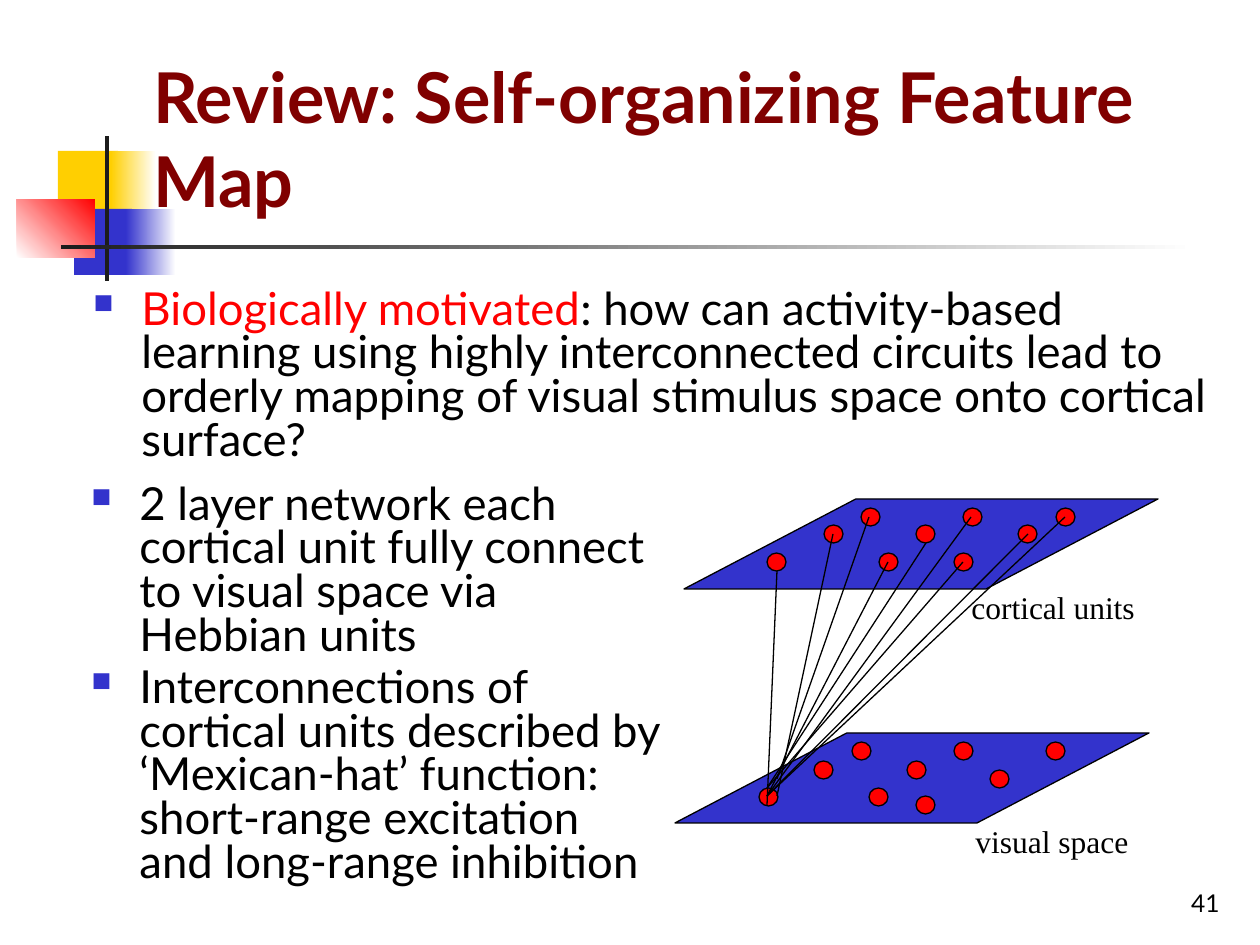
from pptx import Presentation
from pptx.dml.color import RGBColor as RGB
from pptx.enum.shapes import MSO_CONNECTOR as CON, MSO_SHAPE as SHP
from pptx.enum.text import MSO_ANCHOR as ANC, PP_ALIGN as AL
from pptx.oxml import parse_xml
from pptx.util import Emu, Pt

PX = 914400 / 126
NS = 'xmlns:a="http://schemas.openxmlformats.org/drawingml/2006/main"'
HUE = {"gold": "FFCF01", "blue": "3333CC", "red": "FF0000", "dark": "1C1C1C",
       "maroon": "800000", "black": "000000", "white": "FFFFFF"}
RGBS = {name: RGB.from_string(val) for name, val in HUE.items()}

prs = Presentation()
prs.slide_width, prs.slide_height = Emu(9144000), Emu(6858000)
slide = prs.slides.add_slide(prs.slide_layouts[6])
shapes = slide.shapes


def add_shape(kind, box, fill, edge=None):
    shp = shapes.add_shape(kind, *[Emu(round(v * PX)) for v in box])
    shp.shadow.inherit = False
    shp.fill.solid()
    shp.fill.fore_color.rgb = RGBS[fill]
    if edge:
        shp.line.color.rgb = RGBS[edge]
        shp.line.width = Pt(0.75)
    else:
        shp.line.fill.background()
    return shp


def add_text(box, paras, size, font="Lato", wrap=True, bullet=False):
    frame = shapes.add_textbox(*[Emu(round(v * PX)) for v in box]).text_frame
    frame.word_wrap = wrap
    for i, runs in enumerate(paras):
        para = frame.paragraphs[0] if i == 0 else frame.add_paragraph()
        if bullet:
            props = para._p.get_or_add_pPr()
            props.set("marL", str(round(48 * PX)))
            props.set("indent", str(round(-48 * PX)))
            for xml in (f'<a:buClr {NS}><a:srgbClr val="{HUE["blue"]}"/></a:buClr>',
                        f'<a:buSzPct {NS} val="60000"/>',
                        f'<a:buChar {NS} char="■"/>'):
                props.append(parse_xml(xml))
            para.line_spacing = 0.8
            if i:
                para.space_before = Pt(5)
        for text, color in runs:
            run = para.add_run()
            run.text = text
            run.font.size = Pt(size)
            run.font.name = font
            run.font.color.rgb = RGBS[color]
    return frame


# Corner squares and rules: box, colour, gradient stops, angle
decor = [
    ((58, 151, 60, 66), "gold", None, 0),
    ((111, 151, 45, 66), "gold", ("gold", "white"), 0),
    ((74, 209, 58, 66), "blue", None, 0),
    ((126, 209, 50, 66), "blue", ("blue", "white"), 0),
    ((17, 199, 78, 59), "red", ("white", "red"), 45),
    ((105, 136, 4, 145), "dark", None, 0),
    ((61, 245, 1134, 4), "dark", ("dark", "white"), 0),
]
for box, color, stops, angle in decor:
    part = add_shape(SHP.RECTANGLE, box, color)
    if stops:
        part.fill.gradient()
        part.fill.gradient_angle = angle
        for stop, name in zip(part.fill.gradient_stops, stops):
            stop.color.rgb = RGBS[name]

# Title and page number
title = add_text((141, 26, 1074, 202),
                 [[("Review: Self-organizing Feature Map", "maroon")]], 40)
title.vertical_anchor = ANC.BOTTOM
title.paragraphs[0].runs[0].font.bold = True
page = add_text((970, 861, 262, 63), [[("41", "black")]], 14)
page.vertical_anchor = ANC.BOTTOM
page.paragraphs[0].alignment = AL.RIGHT

# Bullets
add_text((81, 284, 1160, 208), [[
    ("Biologically motivated", "red"),
    (": how can activity-based learning using highly interconnected circuits "
     "lead to orderly mapping of visual stimulus space onto cortical surface?",
     "black")]], 26, bullet=True)
add_text((79, 479, 596, 416), [
    [("2 layer network each cortical unit fully connect to visual space "
      "via Hebbian units", "black")],
    [("Interconnections of cortical units described by ‘Mexican-hat’ function: "
      "short-range excitation and long-range inhibition", "black")],
], 26, bullet=True)

# Layer labels
for left, top, width, label in [(963, 816, 229, "visual space"),
                                (959, 582, 243, "cortical units")]:
    add_text((left, top, width, 63), [[(label, "black")]], 18,
             font="Times New Roman", wrap=False)

# Two layers: corner of the sheet, then the units on it
layers = [
    ((684, 499), [(861, 508), (963, 508), (1056, 508),
                  (824, 525), (916, 525), (1018, 525),
                  (767, 553), (879, 553), (954, 553)]),
    ((675, 733), [(852, 742), (954, 742), (1046, 742),
                  (814, 761), (907, 761), (990, 770),
                  (759, 788), (869, 788), (916, 796)]),
]
for corner, dots in layers:
    sheet = add_shape(SHP.PARALLELOGRAM, (*corner, 474, 90), "blue", "black")
    sheet.adjustments[0] = 1.91
    for dot in dots:
        add_shape(SHP.OVAL, (*dot, 19, 18), "red", "black")

# Links from the cortical units to one visual unit
links = [(777, 571, 767, 806), (833, 534, 777, 796), (869, 517, 777, 779),
         (888, 562, 767, 796), (926, 543, 767, 788), (971, 517, 767, 796),
         (1065, 517, 767, 796), (1028, 534, 767, 796), (963, 562, 767, 788)]
for ends in links:
    link = shapes.add_connector(CON.STRAIGHT, *[Emu(round(v * PX)) for v in ends])
    link.line.color.rgb = RGBS["black"]
    link.line.width = Pt(0.75)
    link._element.spPr.append(parse_xml(f"<a:effectLst {NS}/>"))

prs.save("out.pptx")
